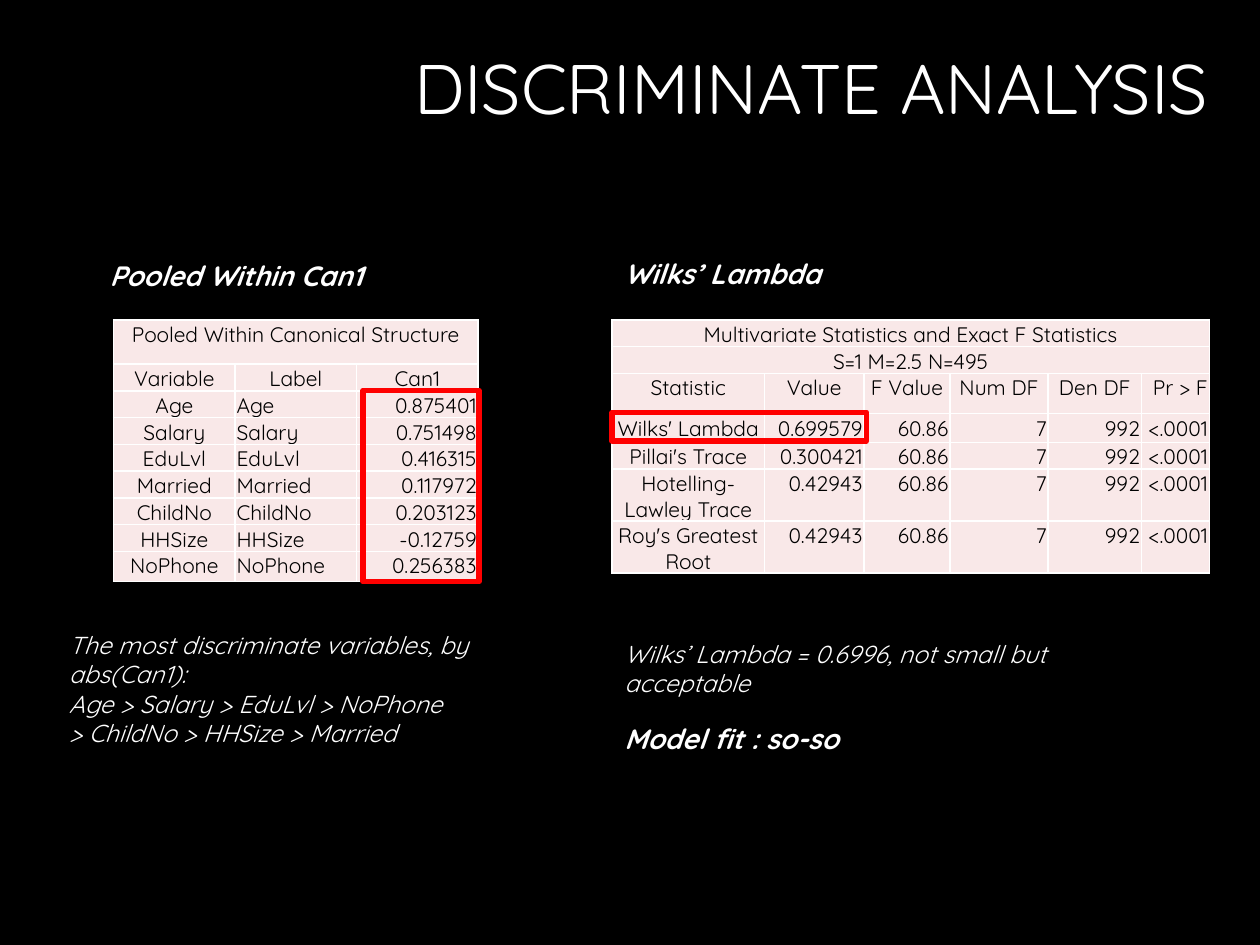
"""Build the discriminate analysis slide with two result tables."""
from lxml import etree
from pptx import Presentation
from pptx import util as u
from pptx.dml.color import RGBColor
from pptx.enum import shapes, text
from pptx.oxml.ns import qn

FONT = "Quicksand"
BLACK = RGBColor(0x00, 0x00, 0x00)
WHITE = RGBColor(0xFF, 0xFF, 0xFF)
PINK = RGBColor(0xF9, 0xE8, 0xE8)
RED = RGBColor(0xFF, 0x00, 0x00)
LEFT, CENTER, RIGHT = text.PP_ALIGN.LEFT, text.PP_ALIGN.CENTER, text.PP_ALIGN.RIGHT

LOADINGS = {
    "Age": "0.875401", "Salary": "0.751498", "EduLvl": "0.416315",
    "Married": "0.117972", "ChildNo": "0.203123", "HHSize": "-0.12759",
    "NoPhone": "0.256383",
}
STATISTICS = {
    "Wilks' Lambda": "0.699579", "Pillai's Trace": "0.300421",
    "Hotelling-Lawley Trace": "0.42943", "Roy's Greatest Root": "0.42943",
}


def add_run(paragraph, words, size, color, bold=False, italic=False):
    run = paragraph.add_run()
    run.text = words
    font = run.font
    font.name, font.size, font.bold, font.italic = FONT, u.Pt(size), bold, italic
    font.color.rgb = color


def add_text(slide, box, lines, size, bold=False, italic=True, align=LEFT,
             anchor=text.MSO_ANCHOR.TOP, spacing=None):
    shape = slide.shapes.add_textbox(*map(u.Cm, box))
    frame = shape.text_frame
    frame.word_wrap = True
    frame.vertical_anchor = anchor
    for index, line in enumerate(lines):
        paragraph = frame.add_paragraph() if index else frame.paragraphs[0]
        paragraph.alignment = align
        paragraph.line_spacing = spacing
        add_run(paragraph, line, size, WHITE, bold, italic)


def style_cell(cell):
    cell.margin_left = cell.margin_right = cell.margin_top = u.Cm(0.03)
    cell.margin_bottom = 0
    properties = cell._tc.get_or_add_tcPr()
    for side in ("lnL", "lnR", "lnT", "lnB"):
        line = etree.SubElement(properties, qn(f"a:{side}"), w=str(u.Pt(1)))
        fill = etree.SubElement(line, qn("a:solidFill"))
        etree.SubElement(fill, qn("a:srgbClr"), val=str(WHITE))
    cell.fill.solid()
    cell.fill.fore_color.rgb = PINK


def add_table(slide, left, top, height, widths, heights, rows, header_row, aligns):
    """Draw a table; a row with a single entry spans every column."""
    frame = slide.shapes.add_table(len(rows), len(widths), u.Cm(left), u.Cm(top),
                                   u.Cm(sum(widths)), u.Cm(height))
    table = frame.table
    table.first_row = table.horz_banding = False
    for column, width in zip(table.columns, widths):
        column.width = u.Cm(width)
    for row, row_height in zip(table.rows, heights):
        row.height = u.Cm(row_height)
    frame.height = u.Cm(height)
    for cell in table.iter_cells():
        style_cell(cell)
    for row_index, row in enumerate(rows):
        if len(row) == 1:
            table.cell(row_index, 0).merge(table.cell(row_index, len(widths) - 1))
        for column_index, words in enumerate(row):
            paragraph = table.cell(row_index, column_index).text_frame.paragraphs[0]
            is_header = row_index <= header_row and words != "Pr > F"
            paragraph.alignment = CENTER if is_header else aligns[column_index]
            add_run(paragraph, words, 12, BLACK)


def add_highlight(slide, box):
    shape = slide.shapes.add_shape(shapes.MSO_SHAPE.RECTANGLE, *map(u.Cm, box))
    shape.shadow.inherit = False
    shape.fill.background()
    shape.line.color.rgb = RED
    shape.line.width = u.Pt(3)


def main():
    presentation = Presentation()
    presentation.slide_width, presentation.slide_height = u.Cm(25.4), u.Cm(19.05)
    slide = presentation.slides.add_slide(presentation.slide_layouts[6])
    slide.background.fill.solid()
    slide.background.fill.fore_color.rgb = BLACK

    add_text(slide, (5.97, 0.33, 19.02, 3.05), ["DISCRIMINATE ANALYSIS "], 40,
             italic=False, align=RIGHT, anchor=text.MSO_ANCHOR.MIDDLE, spacing=0.9)

    loading_rows = [["Pooled Within Canonical Structure"], ["Variable", "Label", "Can1"]]
    loading_rows += [[name, name, value] for name, value in LOADINGS.items()]
    add_table(slide, 2.29, 6.45, 5.23, [2.45] * 3, [0.89] + [0.46] * 7 + [0.61],
              loading_rows, 1, [CENTER, LEFT, RIGHT])
    add_highlight(slide, (7.32, 7.87, 2.34, 3.86))
    add_text(slide, (1.14, 12.57, 9.65, 2.64),
             ["The most discriminate variables, by abs(Can1):",
              "Age > Salary > EduLvl > NoPhone",
              "> ChildNo > HHSize > Married"], 14)

    statistic_rows = [["Multivariate Statistics and Exact F Statistics"],
                      ["S=1 M=2.5 N=495"],
                      ["Statistic", "Value", "F Value", "Num DF", "Den DF", "Pr > F"]]
    statistic_rows += [[name, value, "60.86", "7", "992", "<.0001"]
                       for name, value in STATISTICS.items()]
    add_table(slide, 12.34, 6.45, 5.11, [3.07, 2.01, 1.73, 1.98, 1.88, 1.37],
              [0.46, 0.46, 0.81, 0.58, 0.46, 0.46, 0.86],
              statistic_rows, 2, [CENTER] + [RIGHT] * 5)
    add_highlight(slide, (12.34, 8.31, 5.13, 0.58))
    add_text(slide, (12.34, 12.75, 10.52, 1.45),
             ["Wilks’ Lambda = 0.6996, not small but acceptable"], 14)

    for left, top, words in ((1.96, 5.08, "Pooled Within Can1"),
                             (12.34, 5.05, "Wilks’ Lambda"),
                             (12.34, 14.43, "Model fit : so-so")):
        add_text(slide, (left, top, 9.65, 0.94), [words], 16, bold=True)

    presentation.save("out.pptx")


if __name__ == "__main__":
    main()
